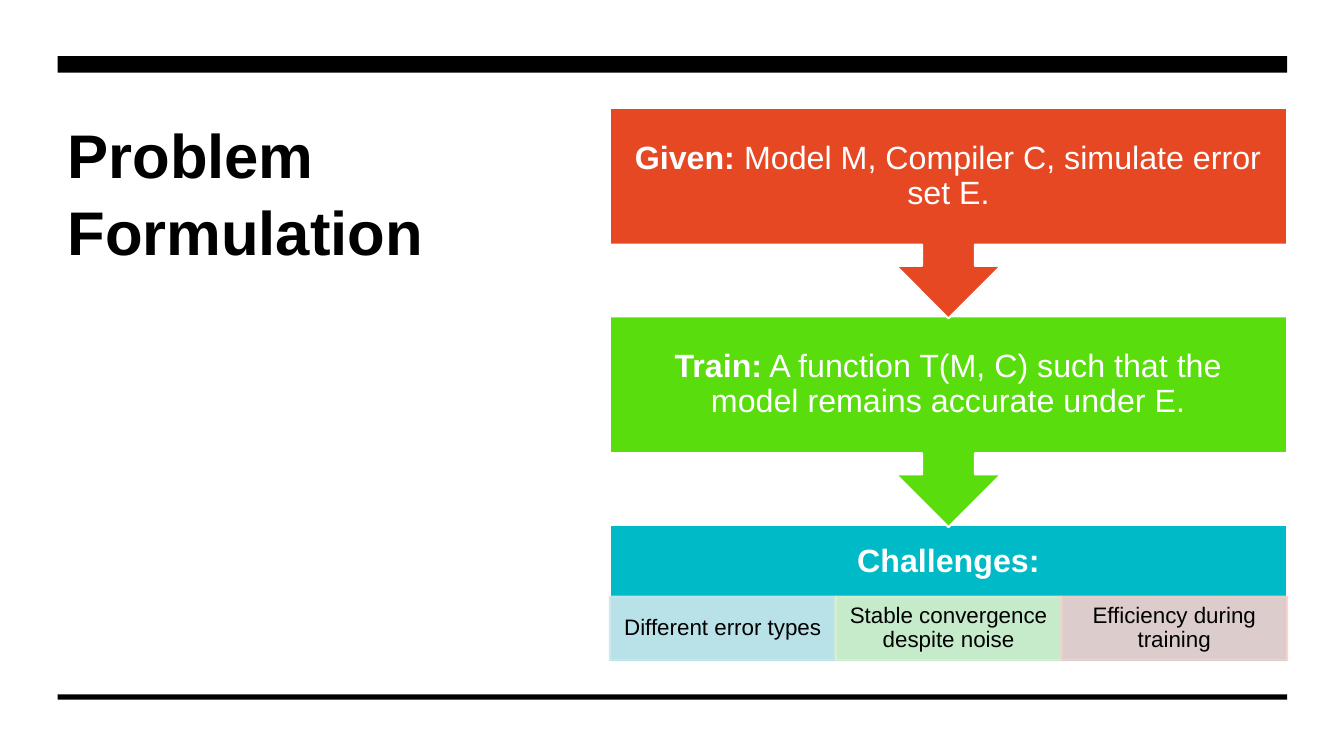
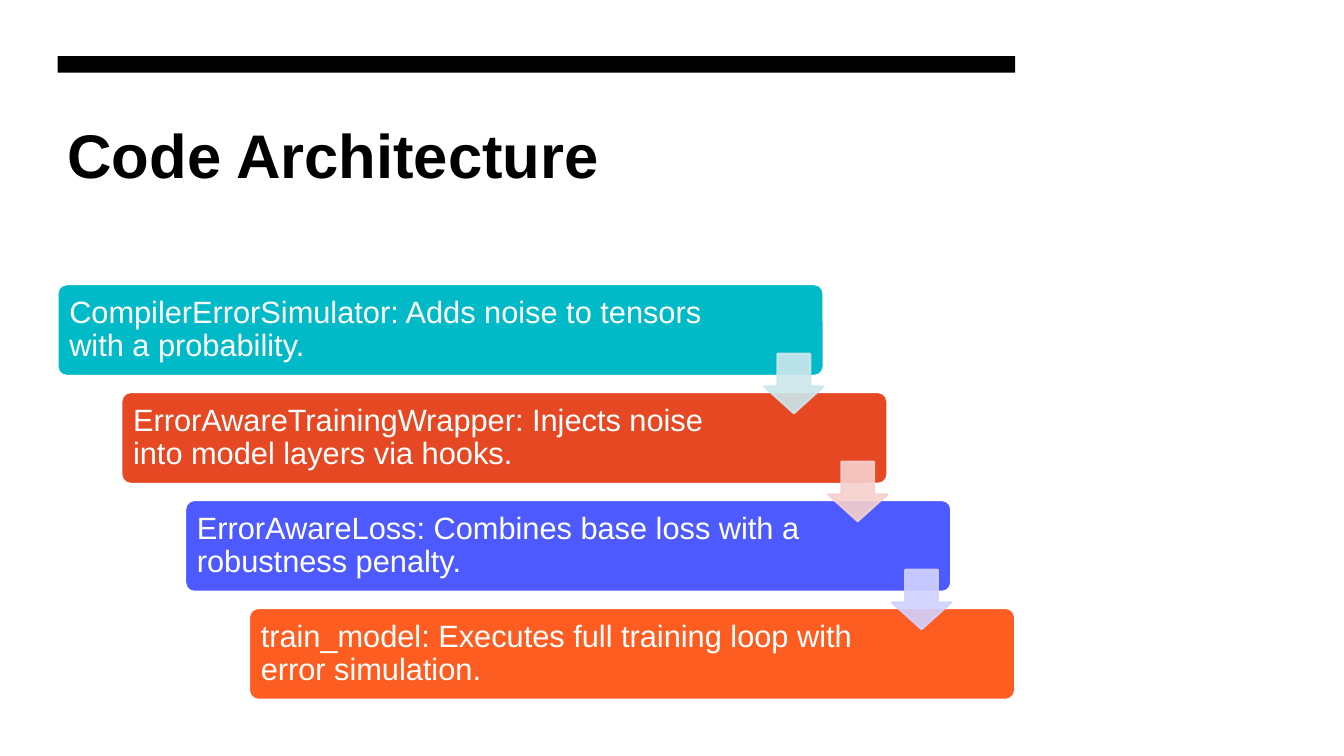
from lxml.etree import SubElement
from pptx import Presentation
from pptx.dml.color import RGBColor
from pptx.enum.shapes import MSO_SHAPE as Preset
from pptx.enum.text import MSO_ANCHOR as Anchor, PP_ALIGN as Align
from pptx.oxml.ns import qn
from pptx.util import Pt

COLORS = {
    "black": "000000", "white": "FFFFFF", "teal": "00BAC8", "green": "59DD0C",
    "red": "E64823", "blue": "4D5AFF", "orange": "FE5D21", "pale teal": "CCE7EB",
    "pale green": "DBF1CC", "pale red": "F5D0CD", "pale blue": "D0D2FF",
}
FONT = "Arial"
LEFT = 41.1
TITLE_TOP = 77


class Deck:
    """Hold the shared style and draw elements on the current slide."""

    def __init__(self):
        self.presentation = Presentation()
        self.presentation.slide_width = Pt(960)
        self.presentation.slide_height = Pt(540)
        self.slide = None

    def start_slide(self, title, title_width, title_height, bar_width):
        layout = self.presentation.slide_layouts[6]
        self.slide = self.presentation.slides.add_slide(layout)
        self.bar(40.2, 11.8, bar_width)
        box = self.slide.shapes.add_textbox(
            Pt(LEFT), Pt(TITLE_TOP), Pt(title_width), Pt(title_height))
        self.label(box, [(title, True)], 44, "black", Align.LEFT,
                   Anchor.TOP, (7.2, 3.6, 7.2, 3.6), 1.05)

    def bar(self, top, height, width):
        self.block(Preset.RECTANGLE, LEFT, top, width, height, "black", line=None)

    def block(self, preset, left, top, width, height, fill, line="white",
              alpha=None, adjustments=()):
        shape = self.slide.shapes.add_shape(
            preset, Pt(left), Pt(top), Pt(width), Pt(height))
        shape.shadow.inherit = False
        for index, value in enumerate(adjustments):
            shape.adjustments[index] = value
        shape.fill.solid()
        shape.fill.fore_color.rgb = RGBColor.from_string(COLORS[fill])
        if line:
            shape.line.width = Pt(1.5)
            shape.line.color.rgb = RGBColor.from_string(COLORS[line])
        else:
            shape.line.fill.background()
        if alpha:
            for color in shape._element.spPr.iter(qn("a:srgbClr")):
                SubElement(color, qn("a:alpha")).set("val", str(alpha * 1000))
        return shape

    def label(self, shape, runs, size, color, align=Align.CENTER,
              anchor=Anchor.MIDDLE, insets=(13, 13, 13, 13), spacing=0.9):
        frame = shape.text_frame
        frame.word_wrap = True
        frame.vertical_anchor = anchor
        (frame.margin_left, frame.margin_top,
         frame.margin_right, frame.margin_bottom) = map(Pt, insets)
        paragraph = frame.paragraphs[0]
        paragraph.alignment = align
        paragraph.line_spacing = spacing
        paragraph.font.name = FONT
        paragraph.font.size = Pt(size)
        paragraph.font.color.rgb = RGBColor.from_string(COLORS[color])
        for text, bold in runs:
            run = paragraph.add_run()
            run.text = text
            run.font.bold = bold


def draw_problem(deck):
    deck.start_slide("Problem Formulation", 337.7, 265, 878.3)
    deck.bar(496, 3.8, 878.3)
    left, width, pitch = 435.6, 483.8, 149

    challenges = deck.block(Preset.RECTANGLE, left, TITLE_TOP + 2 * pitch, width, 98, "teal")
    deck.label(challenges, [("Challenges:", True)], 23, "white", insets=(13, 13, 13, 58))

    cells = [
        ("Different error types", "pale teal"),
        ("Stable convergence despite noise", "pale green"),
        ("Efficiency during training", "pale red"),
    ]
    cell_width = width / len(cells)
    for index, (text, color) in enumerate(cells):
        cell = deck.block(Preset.RECTANGLE, left + index * cell_width, 426.2,
                          cell_width, 45.4, color, line=color, alpha=90)
        deck.label(cell, [(text, False)], 16, "black", insets=(8.6, 1.4, 8.6, 1.4))

    callouts = [
        (1, "Train:", " A function T(M, C) such that the model remains accurate under E.", "green"),
        (0, "Given:", " Model M, Compiler C, simulate error set E.", "red"),
    ]
    for row, heading, text, color in callouts:
        callout = deck.block(Preset.DOWN_ARROW_CALLOUT, left, TITLE_TOP + row * pitch,
                             width, 150.5, color)
        deck.label(callout, [(heading, True), (text, False)], 23, "white")


def draw_architecture(deck):
    deck.start_slide("Code Architecture", 684, 115, 684)
    width, height, top = 547.2, 65.5, 203
    step_right, step_down, arrow_size = 45.6, 77.1, 42.5

    steps = [
        ("CompilerErrorSimulator: Adds noise to tensors with a probability.", "teal", 78),
        ("ErrorAwareTrainingWrapper: Injects noise into model layers via hooks.", "red", 95),
        ("ErrorAwareLoss: Combines base loss with a robustness penalty.", "blue", 95),
        ("train_model: Executes full training loop with error simulation.", "orange", 95),
    ]
    for index, (text, color, right_inset) in enumerate(steps):
        step = deck.block(Preset.ROUNDED_RECTANGLE, LEFT + index * step_right,
                          top + index * step_down, width, height, color, adjustments=[0.1])
        deck.label(step, [(text, False)], 22, "white", Align.LEFT,
                   insets=(6.5, 6.5, right_inset, 6.5))

    for index, color in enumerate(["pale teal", "pale red", "pale blue"]):
        deck.block(Preset.DOWN_ARROW, LEFT + width - arrow_size + index * step_right,
                   top + 49.7 + index * step_down, arrow_size, arrow_size, color,
                   line=color, alpha=90, adjustments=[0.55, 0.45])


def main():
    deck = Deck()
    draw_problem(deck)
    draw_architecture(deck)
    deck.presentation.save("out.pptx")


if __name__ == "__main__":
    main()
